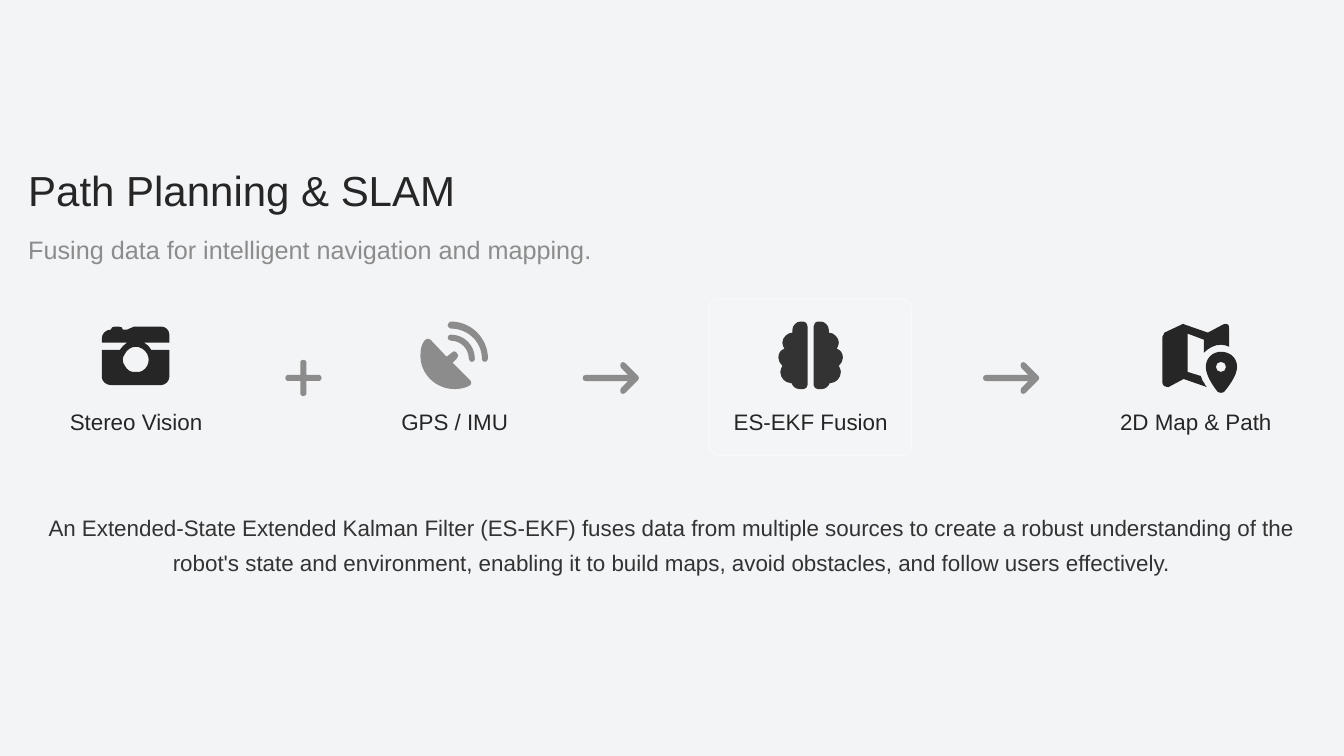
from pptx import Presentation
from pptx.dml.color import RGBColor
from pptx.enum.shapes import MSO_SHAPE as SHAPE
from pptx.enum.text import MSO_ANCHOR as ANCHOR, MSO_AUTO_SIZE as AUTO, PP_ALIGN as ALIGN
from pptx.oxml.ns import qn
from pptx.util import Inches, Pt
from lxml import etree

INK = RGBColor(0x26, 0x26, 0x26)
CHARCOAL = RGBColor(0x33, 0x33, 0x33)
GRAY = RGBColor(0x8C, 0x8C, 0x8C)
WHITE = RGBColor(0xFF, 0xFF, 0xFF)
PALE = RGBColor(0xF3, 0xF4, 0xF6)

# Outlines in hundredths of an inch: M starts a contour, L lines, C cubic curves
CAMERA = """M 101,374 L 101,347 119,347 C 121,344 123,342 126,340 L 101,340 101,336
C 101,331 105,327 110,327 L 110,327 C 110,325 112,324 114,324 L 118,324
C 120,324 122,325 122,327 L 126,327 133,324 C 134,324 135,324 137,324 L 160,324
C 164,324 168,327 168,332 L 168,340 143,340 C 146,342 149,344 150,347
L 168,347 168,374 C 168,378 164,382 160,382 L 110,382 C 105,382 101,378 101,374
M 135,344 C 130,344 126,347 124,351 121,355 121,359 124,363 126,367 130,370 135,369
139,370 144,367 146,363 148,359 148,355 146,351 144,347 139,344 135,344"""
PLUS = """M 304,359 C 304,358 302,357 301,357 299,357 298,358 298,359 L 298,372 285,372
C 284,372 283,374 283,375 283,376 284,378 285,378 L 298,378 298,391
C 298,392 299,393 301,393 302,393 304,392 304,391 L 304,378 317,378
C 318,378 319,376 319,375 319,374 318,372 317,372 L 304,372 304,359"""
DISH = """M 447,319 C 468,319 484,336 484,356 484,358 482,359 481,359
479,359 478,358 478,356 478,339 464,326 447,326 446,326 444,324 444,323
444,321 446,319 447,319
M 444,335 C 444,333 446,332 447,332 461,332 471,343 471,356 471,358 470,359 468,359
467,359 465,358 465,356 465,346 457,338 447,338 446,338 444,337 444,335
M 421,338 C 422,336 425,335 427,337 L 443,354 448,350
C 449,348 452,348 453,350 455,351 455,354 453,356 L 449,360 466,377
C 468,378 468,382 465,383 461,385 456,386 451,386 432,386 417,371 417,353
417,347 418,342 421,338"""
ARROW = """M 633,377 C 634,376 634,374 633,373 L 620,360
C 619,359 617,359 616,360 615,362 615,363 616,365 L 623,372 581,372
C 579,372 578,373 578,375 578,377 579,378 581,378 L 623,378 616,385
C 615,387 615,388 616,390 617,391 619,391 620,390 L 633,377"""
HALF_BRAIN = """M 786,327 C 786,323 790,319 794,319 L 797,319 C 799,319 801,321 801,324
L 801,382 C 801,384 799,386 797,386 L 793,386 C 789,386 786,383 785,380
785,380 785,380 784,380 779,380 774,375 774,369 774,367 775,365 776,363
774,361 772,358 772,355 772,351 774,347 778,346 777,344 776,342 776,340
776,335 781,330 786,330 L 786,327"""
MAP = """M 1219,326 C 1219,324 1219,323 1218,322 1216,321 1215,321 1213,322
L 1198,330 1175,322 C 1174,321 1173,321 1172,322 L 1155,330
C 1154,331 1153,332 1153,334 L 1153,380 C 1153,381 1154,383 1155,383
1156,384 1158,384 1159,384 L 1174,376 1197,384 C 1196,383 1195,382 1195,381
1193,379 1192,376 1191,373 L 1178,369 1178,331 1194,337 1194,350
C 1199,345 1205,342 1211,342 1214,342 1217,343 1219,344 L 1219,326
M 1211,349 C 1203,349 1196,355 1196,364 1196,373 1204,384 1208,389
1210,390 1212,390 1214,389 1218,384 1227,373 1227,364 1227,355 1220,349 1211,349
M 1206,364 C 1206,361 1208,359 1211,359 1214,359 1216,361 1216,364
1216,367 1214,369 1211,369 1208,369 1206,367 1206,364"""


def trace(outline):
    """Split an outline into steps of a command and its points."""
    steps, command, points = [], "", []
    for token in outline.split():
        if token in "MLC":
            command = token
            continue
        points.append(tuple(int(value) for value in token.split(",")))
        if command != "C" or len(points) == 3:
            steps.append((command, points))
            points = []
    return steps


def draw_icon(steps, color, shift=0):
    """Draw steps as one filled freeform, moved right by shift."""
    builder = None
    for command, points in steps:
        placed = [(Inches((x + shift) / 100), Inches(y / 100)) for x, y in points]
        if command != "M":
            builder.add_line_segments(placed, close=False)
        elif builder is None:
            builder = slide.shapes.build_freeform(*placed[0], scale=1.0)
        else:
            builder.add_line_segments([], close=True)
            builder.move_to(*placed[0])
    builder.add_line_segments([], close=True)
    icon = builder.convert_to_shape()
    icon.shadow.inherit = False
    icon.fill.solid()
    icon.fill.fore_color.rgb = color
    icon.line.fill.background()

    # Join each three control points into a cubic curve
    segments = iter(list(icon.element.iter(qn("a:lnTo"))))
    for command, points in steps:
        if command == "M":
            continue
        group = [next(segments) for _ in points]
        if command == "C":
            curve = etree.Element(qn("a:cubicBezTo"))
            group[0].addprevious(curve)
            for segment in group:
                curve.append(segment[0])
                segment.getparent().remove(segment)


prs = Presentation()
prs.slide_width, prs.slide_height = Inches(13.33), Inches(7.5)
slide = prs.slides.add_slide(prs.slide_layouts[0])
slide.background.fill.solid()
slide.background.fill.fore_color.rgb = PALE

# Sources, with the signs after them
draw_icon(trace(CAMERA), INK)
draw_icon(trace(PLUS), GRAY)
draw_icon(trace(DISH), GRAY)
arrow = trace(ARROW)
draw_icon(arrow, GRAY)

# Translucent card behind the fusion step
card = slide.shapes.add_shape(SHAPE.ROUNDED_RECTANGLE, Inches(7.03), Inches(2.96),
                              Inches(2.01), Inches(1.56))
card.adjustments[0] = 0.07
card.shadow.inherit = False
card.line.width = Pt(0.8)
for paint in (card.fill, card.line.fill):
    paint.solid()
    paint.fore_color.rgb = WHITE
for tint, opacity in zip(card.element.spPr.iter(qn("a:srgbClr")), (10, 50)):
    etree.SubElement(tint, qn("a:alpha"), val=str(opacity * 1000))

# Fusion and its result
BRAIN_AXIS = 804
left_half = trace(HALF_BRAIN)
right_half = [(command, [(2 * BRAIN_AXIS - x, y) for x, y in points])
              for command, points in left_half]
draw_icon(left_half + right_half, CHARCOAL)
draw_icon(arrow, GRAY, shift=397)
draw_icon(trace(MAP), INK)

# Title, subtitle, step captions and explanation
title, subtitle = slide.placeholders
explanation = (
    "An Extended-State Extended Kalman Filter (ES-EKF) fuses data from multiple sources "
    "to create a robust understanding of the robot's state and environment, enabling it "
    "to build maps, avoid obstacles, and follow users effectively.")
texts = [
    (title, "Path Planning & SLAM", (0.28, 1.63, 12.78, 0.5), 30, INK, ALIGN.LEFT, 1.0),
    (subtitle, "Fusing data for intelligent navigation and mapping.",
     (0.28, 2.23, 12.78, 0.39), 18, GRAY, ALIGN.LEFT, 1.3),
    (None, explanation, (0.27, 4.87, 12.78, 1), 16, CHARCOAL, ALIGN.CENTER, 1.3),
]
for caption, left, width in (("Stereo Vision", 0.33, 2.04), ("GPS / IMU", 3.65, 1.72),
                             ("ES-EKF Fusion", 6.98, 2.12), ("2D Map & Path", 10.72, 2.28)):
    texts.append((None, caption, (left, 3.98, width, 0.33), 16, INK, ALIGN.CENTER, 1.3))

for box, wording, place, size, color, align, spacing in texts:
    left, top, width, height = (Inches(length) for length in place)
    if box is None:
        box = slide.shapes.add_textbox(left, top, width, height)
    box.left, box.top, box.width, box.height = left, top, width, height
    frame = box.text_frame
    frame.text = wording
    frame_format = dict(margin_left=0, margin_top=0, margin_right=0, margin_bottom=0,
                        word_wrap=True, auto_size=AUTO.NONE, vertical_anchor=ANCHOR.MIDDLE)
    for name, value in frame_format.items():
        setattr(frame, name, value)
    paragraph = frame.paragraphs[0]
    for name, value in dict(alignment=align, line_spacing=spacing, space_before=Pt(0)).items():
        setattr(paragraph, name, value)
    for name, value in dict(name="Arial", size=Pt(size)).items():
        setattr(paragraph.runs[0].font, name, value)
    paragraph.runs[0].font.color.rgb = color

prs.save("out.pptx")
